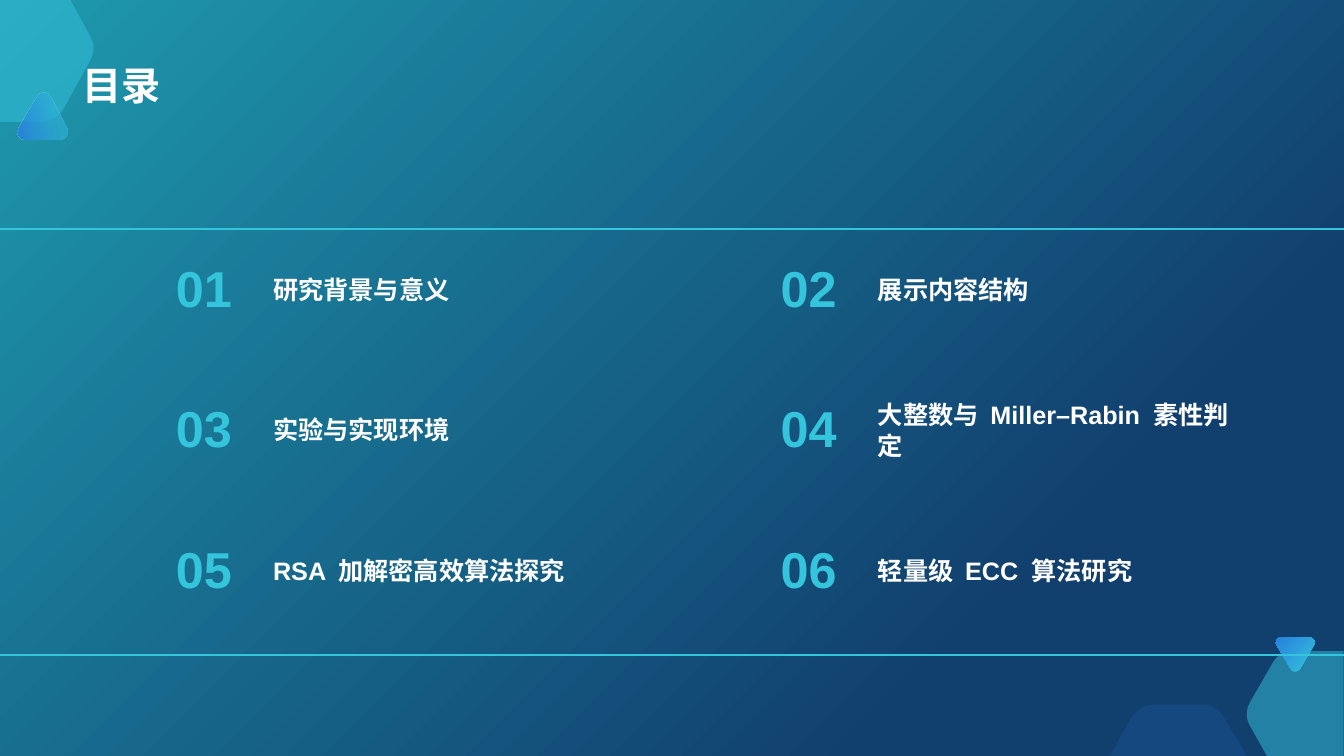
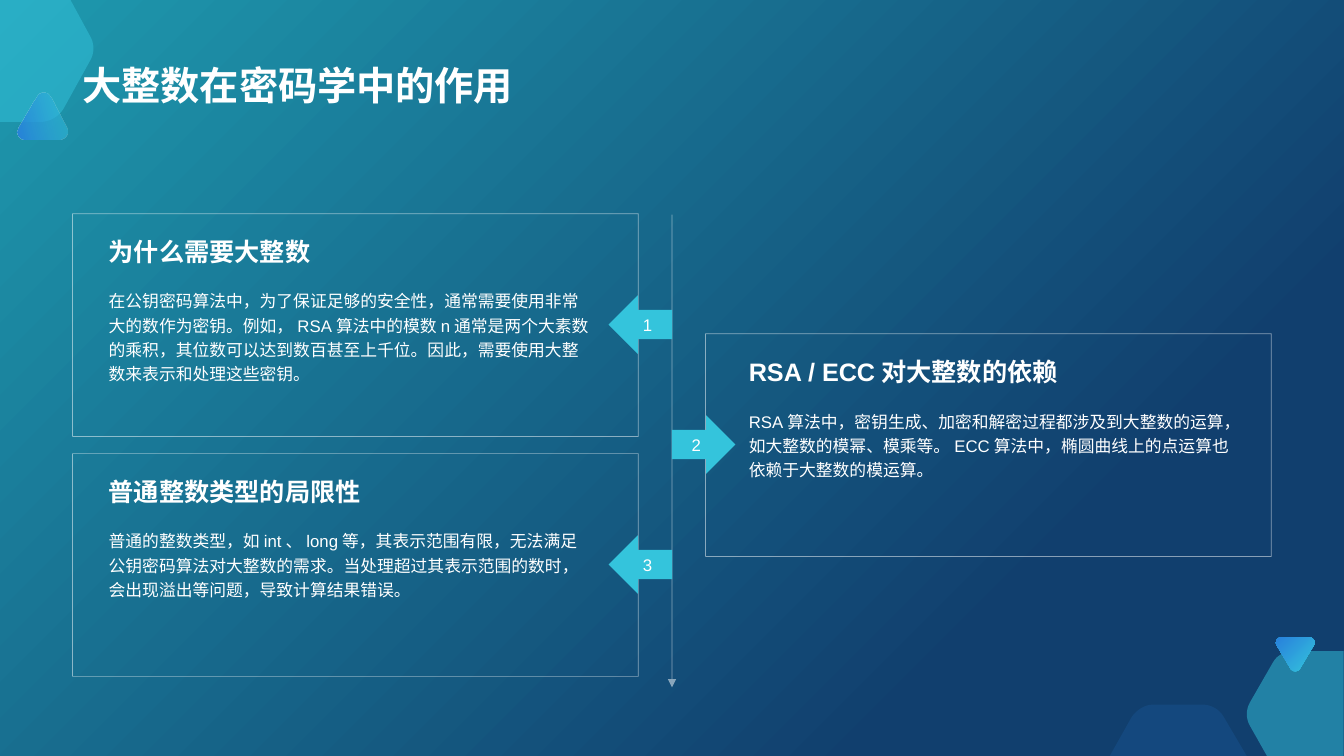
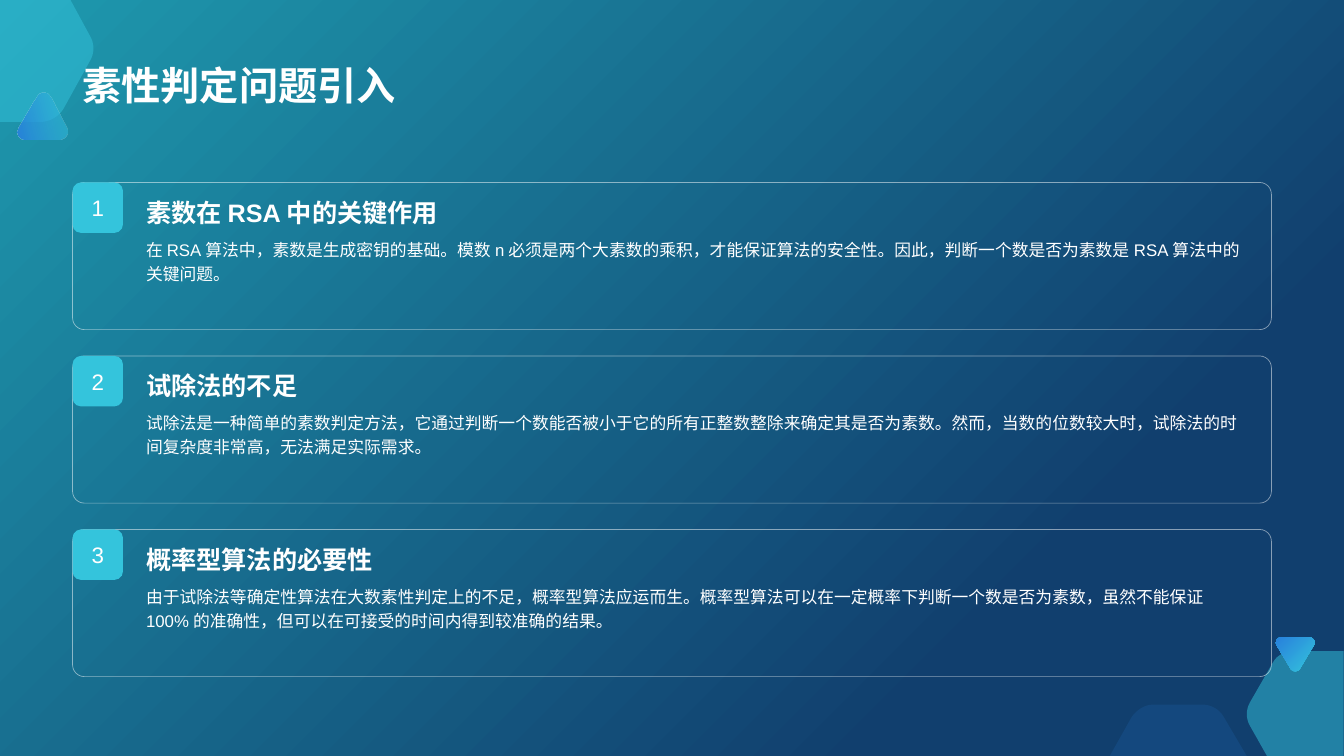
from lxml.etree import SubElement
from pptx import Presentation
from pptx.dml.color import RGBColor
from pptx.enum.shapes import MSO_CONNECTOR, MSO_SHAPE
from pptx.enum.text import MSO_ANCHOR, PP_ALIGN
from pptx.oxml.ns import qn
from pptx.util import Inches, Pt

WHITE = RGBColor(0xFF, 0xFF, 0xFF)
CYAN = RGBColor(0x34, 0xC4, 0xDC)
BLUE = RGBColor(0x28, 0x81, 0xDC)
TEAL = RGBColor(0x1E, 0x99, 0xAE)
NAVY = RGBColor(0x11, 0x3F, 0x6E)
FONT = "Arial"

deck = Presentation()
deck.slide_width = Inches(40) // 3
deck.slide_height = Inches(7.5)
COLUMN = deck.slide_width / 100
ROW = deck.slide_height / 100
MARGIN = 5.4
CONTENT = 100 - 2 * MARGIN


def grid(left, top, columns, rows):
    return [round(share) for share in (left * COLUMN, top * ROW, columns * COLUMN, rows * ROW)]


def write(shape, text, size, color=WHITE, bold=False, align=PP_ALIGN.LEFT,
          anchor=MSO_ANCHOR.MIDDLE, spacing=None):
    frame = shape.text_frame
    frame.word_wrap = True
    frame.vertical_anchor = anchor
    paragraph = frame.paragraphs[0]
    paragraph.text = text
    paragraph.alignment = align
    paragraph.line_spacing = spacing
    paragraph.font.name = FONT
    paragraph.font.size = Pt(size)
    paragraph.font.bold = bold
    paragraph.font.color.rgb = color


titles = ["目录", "大整数在密码学中的作用", "素性判定问题引入"]
slides = []
for title in titles:
    slide = deck.slides.add_slide(deck.slide_layouts[6])
    write(slide.shapes.add_textbox(*grid(MARGIN, 1.87, CONTENT, 13.07)),
          title, 28, bold=True, anchor=MSO_ANCHOR.BOTTOM)
    slides.append(slide)
contents, big_integers, primality = slides

master = deck.slide_master
backdrop = master.background.fill
backdrop.gradient()
backdrop.gradient_angle = 315
for stop, color, position in zip(backdrop.gradient_stops, (TEAL, NAVY), (0, 0.77)):
    stop.color.rgb = color
    stop.position = position

ornaments = [
    ([CYAN], [50], 0, [
        (0, 0), (0.7, 0), (0.89, 0.35), (0.94, 0.43, 0.94, 0.53, 0.89, 0.61),
        (0.63, 1.08), (0.58, 1.16, 0.49, 1.21, 0.4, 1.21), (0, 1.21)]),
    ([CYAN], [50], 0, [
        (12.83, 6.46), (13.33, 6.46), (13.33, 7.5), (12.57, 7.5), (12.4, 7.2),
        (12.36, 7.13, 12.36, 7.04, 12.4, 6.97), (12.63, 6.57),
        (12.67, 6.5, 12.75, 6.46, 12.83, 6.46)]),
    ([CYAN, BLUE], [100, 100], 135, [
        (12.9, 6.63), (13.03, 6.41), (13.06, 6.37, 13.03, 6.32, 12.98, 6.32),
        (12.72, 6.32), (12.67, 6.32, 12.64, 6.37, 12.67, 6.41),
        (12.8, 6.63), (12.82, 6.67, 12.88, 6.67, 12.9, 6.63)]),
    ([BLUE], [15], 0, [
        (11.44, 6.99), (11.93, 6.99), (12.02, 6.99, 12.1, 7.04, 12.14, 7.11),
        (12.37, 7.5), (11.01, 7.5), (11.23, 7.11),
        (11.28, 7.04, 11.36, 6.99, 11.44, 6.99)]),
    ([CYAN, BLUE], [50, 96], 195, [
        (0.66, 1.26), (0.5, 0.96), (0.47, 0.9, 0.39, 0.9, 0.36, 0.96),
        (0.18, 1.26), (0.15, 1.32, 0.19, 1.38, 0.25, 1.38),
        (0.59, 1.38), (0.65, 1.37, 0.69, 1.31, 0.66, 1.26)]),
]
CURVE_STEPS = 8
for number, (colors, opacities, angle, outline) in enumerate(ornaments):
    points = []
    for segment in outline:
        if len(segment) == 2:
            points.append(segment)
            continue
        x0, y0 = points[-1]
        x1, y1, x2, y2, x3, y3 = segment
        for step in range(1, CURVE_STEPS + 1):
            t = step / CURVE_STEPS
            weights = (1 - t) ** 3, 3 * t * (1 - t) ** 2, 3 * t * t * (1 - t), t ** 3
            points.append(tuple(sum(w * v for w, v in zip(weights, values))
                                for values in ((x0, x1, x2, x3), (y0, y1, y2, y3))))
    corners = [(Inches(x), Inches(y)) for x, y in points]
    builder = contents.shapes.build_freeform(*corners[0])
    builder.add_line_segments(corners[1:], close=True)
    ornament = builder.convert_to_shape()
    ornament.shadow.inherit = False
    ornament.line.fill.background()
    if len(colors) == 1:
        ornament.fill.solid()
        ornament.fill.fore_color.rgb = colors[0]
    else:
        ornament.fill.gradient()
        ornament.fill.gradient_angle = angle
        for stop, color in zip(ornament.fill.gradient_stops, colors):
            stop.color.rgb = color
    for tint, opacity in zip(ornament.element.spPr.iter(qn("a:srgbClr")), opacities):
        SubElement(tint, qn("a:alpha"), val=str(opacity * 1000))
    ornament.element.nvSpPr.cNvPr.set("id", str(100 + number))
    master.element.cSld.spTree.append(ornament.element)

for row in (30.27, 86.67):
    rule = contents.shapes.add_connector(
        MSO_CONNECTOR.STRAIGHT, 0, round(row * ROW), deck.slide_width, round(row * ROW))
    rule.line.color.rgb = CYAN
    rule.line.width = Pt(1.25)
    SubElement(rule.element.spPr, qn("a:effectLst"))

topics = ["研究背景与意义", "展示内容结构", "实验与实现环境",
          "大整数与 Miller–Rabin 素性判定", "RSA 加解密高效算法探究", "轻量级 ECC 算法研究"]
for index, topic in enumerate(topics):
    left = 9 + index % 2 * 45
    top = 31.33 + index // 2 * 18.53
    write(contents.shapes.add_textbox(*grid(left, top, 9, 13.47)),
          f"{index + 1:02}", 36, CYAN, bold=True, align=PP_ALIGN.RIGHT)
    write(contents.shapes.add_textbox(*grid(left + 10.58, top, 29.03, 14)),
          topic, 18, bold=True)

axis = big_integers.shapes.add_connector(
    MSO_CONNECTOR.STRAIGHT, round(50 * COLUMN), round(28.4 * ROW),
    round(50 * COLUMN), round(90.93 * ROW))
SubElement(axis.element.spPr, qn("a:effectLst"))
hairlines = [axis]

arguments = [
    ("为什么需要大整数",
     "在公钥密码算法中，为了保证足够的安全性，通常需要使用非常大的数作为密钥。例如，RSA算法中的模数n通常是两个大素数的乘积，其位数可以达到数百甚至上千位。因此，需要使用大整数来表示和处理这些密钥。"),
    ("RSA / ECC对大整数的依赖",
     "RSA算法中，密钥生成、加密和解密过程都涉及到大整数的运算，如大整数的模幂、模乘等。ECC算法中，椭圆曲线上的点运算也依赖于大整数的模运算。"),
    ("普通整数类型的局限性",
     "普通的整数类型，如int、long等，其表示范围有限，无法满足公钥密码算法对大整数的需求。当处理超过其表示范围的数时，会出现溢出等问题，导致计算结果错误。"),
]
ARROW = 4.72
sides = [(MARGIN, 1.95, 50 - ARROW, MSO_SHAPE.LEFT_ARROW),
         (52.5, 2.48, 50, MSO_SHAPE.RIGHT_ARROW)]
for index, (heading, body) in enumerate(arguments):
    left, indent, arrow_left, direction = sides[index % 2]
    top = 28.27 + index * 15.87
    card = big_integers.shapes.add_shape(MSO_SHAPE.RECTANGLE, *grid(left, top, 42.1, 29.47))
    card.fill.background()
    card.shadow.inherit = False
    glow = SubElement(card.element.spPr.find(qn("a:effectLst")), qn("a:outerShdw"),
                      blurRad=str(Pt(42)), dist=str(Pt(4)), dir="5400000", rotWithShape="0")
    glow_color = SubElement(glow, qn("a:srgbClr"), val=str(CYAN))
    SubElement(glow_color, qn("a:alpha"), val="15000")
    hairlines.append(card)
    write(big_integers.shapes.add_textbox(*grid(left + indent, top + 1, 37.5, 7.07)),
          heading, 18, bold=True, spacing=1.2)
    write(big_integers.shapes.add_textbox(*grid(left + indent, top + 9.07, 37.5, 19.33)),
          body, 12, anchor=MSO_ANCHOR.TOP, spacing=1.2)
    arrow = big_integers.shapes.add_shape(direction, *grid(arrow_left, top + 10.8, ARROW, 7.73))
    arrow.shadow.inherit = False
    arrow.fill.solid()
    arrow.fill.fore_color.rgb = CYAN
    arrow.line.fill.background()
    write(arrow, str(index + 1), 12, align=PP_ALIGN.CENTER)

reasons = [
    ("素数在RSA中的关键作用",
     "在RSA算法中，素数是生成密钥的基础。模数n必须是两个大素数的乘积，才能保证算法的安全性。因此，判断一个数是否为素数是RSA算法中的关键问题。"),
    ("试除法的不足",
     "试除法是一种简单的素数判定方法，它通过判断一个数能否被小于它的所有正整数整除来确定其是否为素数。然而，当数的位数较大时，试除法的时间复杂度非常高，无法满足实际需求。"),
    ("概率型算法的必要性",
     "由于试除法等确定性算法在大数素性判定上的不足，概率型算法应运而生。概率型算法可以在一定概率下判断一个数是否为素数，虽然不能保证100%的准确性，但可以在可接受的时间内得到较准确的结果。"),
]
for index, (heading, body) in enumerate(reasons):
    top = 24.13 + index * 22.95
    panel = primality.shapes.add_shape(
        MSO_SHAPE.ROUNDED_RECTANGLE, *grid(MARGIN, top, CONTENT, 19.47))
    panel.adjustments[0] = 0.08
    panel.fill.background()
    panel.shadow.inherit = False
    hairlines.append(panel)
    write(primality.shapes.add_textbox(*grid(10.13, top + 6.33, 83.62, 11.47)),
          body, 12, anchor=MSO_ANCHOR.TOP, spacing=1.2)
    write(primality.shapes.add_textbox(*grid(10.13, top + 0.67, 83.62, 5.73)),
          heading, 18, bold=True, spacing=1.2)
    badge = primality.shapes.add_shape(
        MSO_SHAPE.ROUNDED_RECTANGLE, *grid(MARGIN, top, 3.75, 6.67))
    badge.shadow.inherit = False
    badge.fill.solid()
    badge.fill.fore_color.rgb = CYAN
    badge.line.fill.background()
    write(badge, str(index + 1), 16, align=PP_ALIGN.CENTER)

for hairline in hairlines:
    hairline.line.color.rgb = WHITE
    hairline.line.width = Pt(0.5)
    stroke = hairline.element.spPr.find(qn("a:ln"))
    SubElement(next(stroke.iter(qn("a:srgbClr"))), qn("a:alpha"), val="50000")
SubElement(axis.element.spPr.find(qn("a:ln")), qn("a:tailEnd"), type="triangle")

deck.save("out.pptx")
